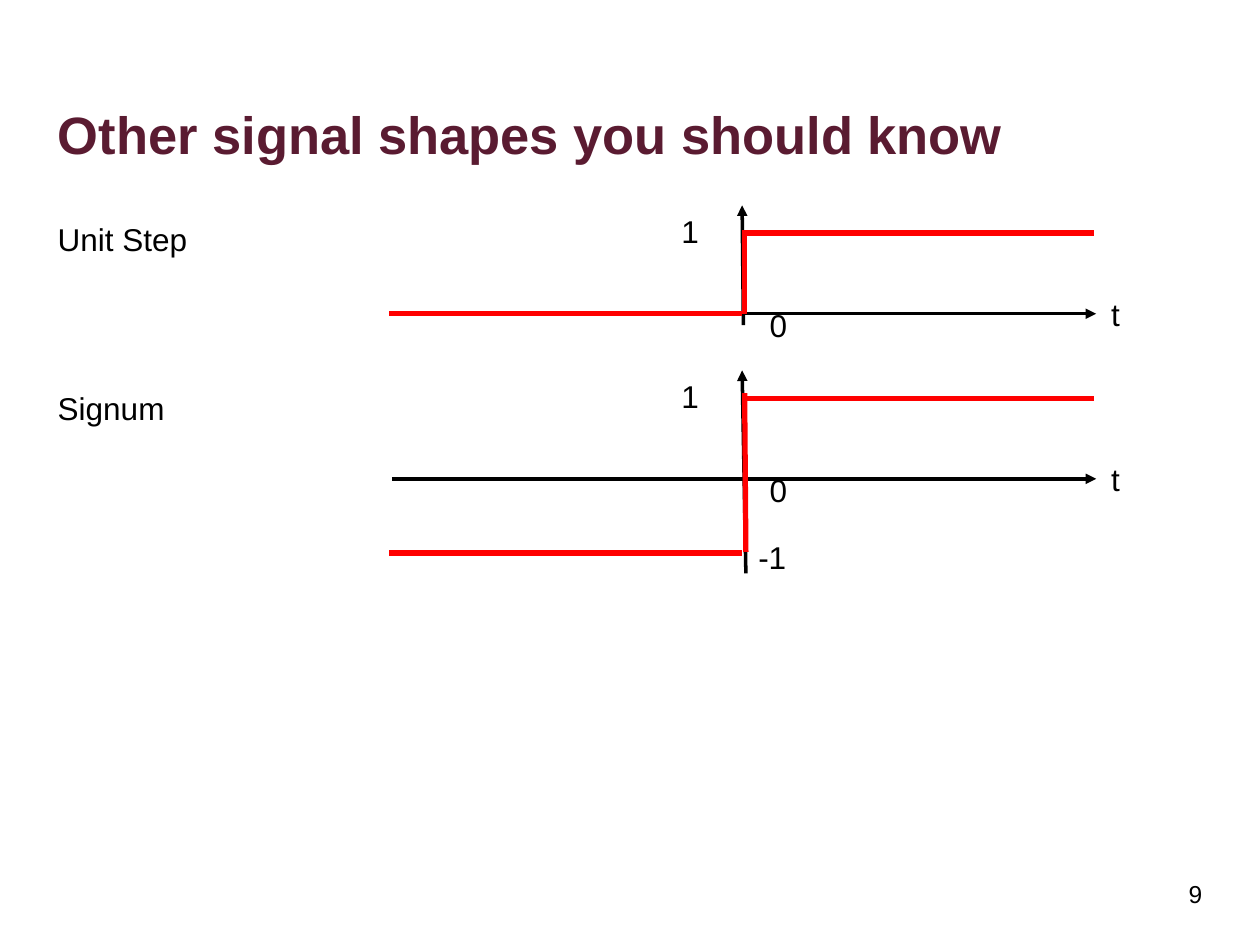
from lxml import etree
from pptx import Presentation
from pptx.dml.color import RGBColor
from pptx.enum.shapes import MSO_CONNECTOR
from pptx.enum.text import MSO_ANCHOR, MSO_AUTO_SIZE, PP_ALIGN
from pptx.oxml.ns import qn
from pptx.util import Inches, Pt

STRAIGHT = MSO_CONNECTOR.STRAIGHT
TOP = MSO_ANCHOR.TOP
NO_FIT, GROW = MSO_AUTO_SIZE.NONE, MSO_AUTO_SIZE.SHAPE_TO_FIT_TEXT
LEFT, RIGHT = PP_ALIGN.LEFT, PP_ALIGN.RIGHT

FONT = "Arial"
BLACK, RED, MAROON = "000000", "FF0000", "5A1B31"
PLOT_GAP = 1.31  # vertical distance between the two plots


def rgb(value):
    return RGBColor.from_string(value)


def write(tf, text, size, color=BLACK, bold=False, align=LEFT):
    tf.word_wrap = True
    tf.vertical_anchor = TOP
    p = tf.paragraphs[0]
    p.alignment = align
    r = p.add_run()
    r.text = text
    r.font.name, r.font.size, r.font.bold = FONT, Pt(size), bold
    r.font.color.rgb = rgb(color)


def add_label(shapes, text, x, y, w=0.47, h=0.4, size=18, align=LEFT, fit=GROW):
    tf = shapes.add_textbox(Inches(x), Inches(y), Inches(w), Inches(h)).text_frame
    write(tf, text, size, align=align)
    tf.auto_size = fit


def add_line(shapes, start, end, color, width, arrow=False):
    ends = [Inches(v) for v in (*start, *end)]
    line = shapes.add_connector(STRAIGHT, *ends)
    line.line.color.rgb = rgb(color)
    line.line.width = Pt(width)
    if arrow:
        etree.SubElement(line.line._get_or_add_ln(), qn("a:tailEnd"), type="triangle")
    etree.SubElement(line._element.spPr, qn("a:effectLst"))


def add_plot(s, dy, axis_bottom, low, jump):
    """Axes, a red step signal and labels, moved down by dy."""
    shapes = s.shapes.add_group_shape().shapes
    zero, high = 2.49 + dy, 1.85 + dy
    # Axes
    add_line(shapes, (3.11, zero), (8.7, zero), BLACK, 2, arrow=True)
    add_line(shapes, axis_bottom, (5.89, 1.63 + dy), BLACK, 2, arrow=True)
    # Signal
    add_line(shapes, (3.09, low), (5.89, low), RED, 3)
    add_line(shapes, (5.89, high), (8.68, high), RED, 3)
    add_line(shapes, *jump, RED, 3)
    # Axis labels
    for text, x, y in (("1", 5.31, 1.63), ("0", 6.01, 2.38), ("t", 8.72, 2.29)):
        add_label(shapes, text, x, y + dy)


def add_title(s, text):
    title = s.shapes.title
    title.left, title.top = Inches(0.36), Inches(0.76)
    title.width, title.height = Inches(9.28), Inches(1.42)
    write(title.text_frame, text, 30, MAROON, bold=True)
    title.text_frame.auto_size = NO_FIT


def main():
    prs = Presentation()
    prs.slide_width, prs.slide_height = Inches(10), Inches(7.5)
    s = prs.slides.add_slide(prs.slide_layouts[5])

    add_title(s, "Other signal shapes you should know")
    add_label(s.shapes, "9", 8.54, 6.93, 1.1, 0.52, 14, RIGHT, NO_FIT)

    # Unit step
    add_label(s.shapes, "Unit Step", 0.36, 1.7, 1.88)
    add_plot(s, 0, (5.9, 2.58), 2.49, ((5.91, 1.85), (5.91, 2.49)))

    # Signum
    add_label(s.shapes, "Signum", 0.36, 3.04, 1.88)
    add_plot(s, PLOT_GAP, (5.92, 4.55), 4.39, ((5.91, 3.12), (5.92, 4.38)))
    add_label(s.shapes, "-1", 5.92, 4.22)

    prs.save("out.pptx")


if __name__ == "__main__":
    main()
